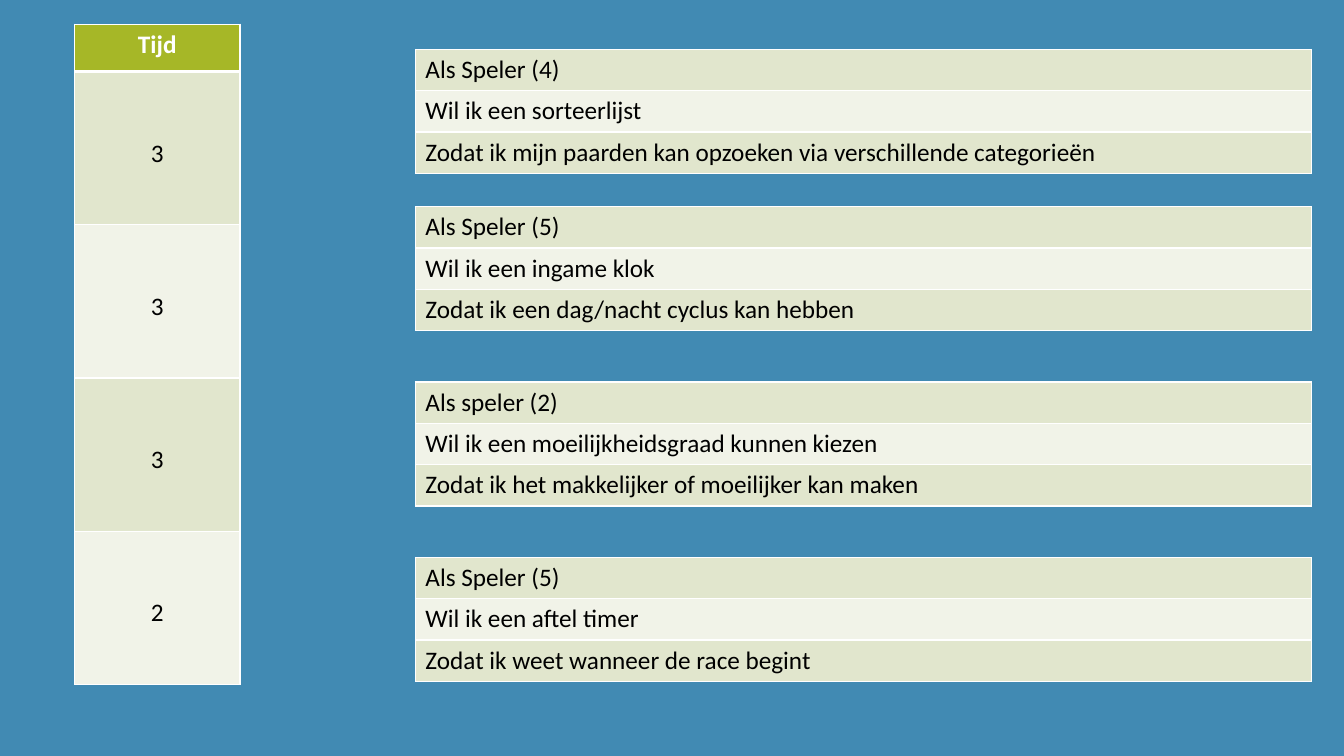
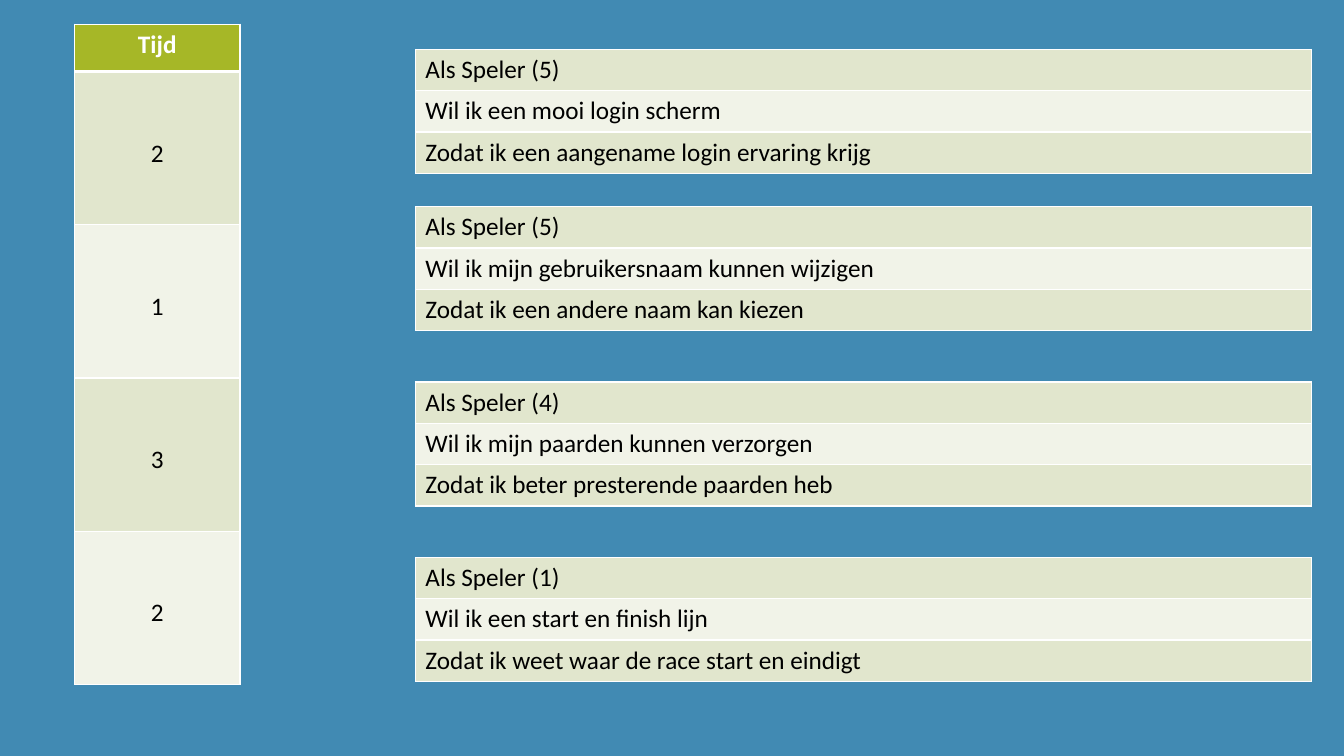
from dataclasses import dataclass

from lxml import etree
from pptx import Presentation
from pptx.dml.color import RGBColor
from pptx.enum import text
from pptx.oxml import ns
from pptx.util import Inches, Pt


@dataclass(frozen=True)
class Theme:
    back: str = "418AB3"
    head: str = "A6B727"
    bands: tuple = ("E1E6CD", "F1F3E8")
    dark: str = "000000"
    light: str = "FFFFFF"
    font: str = "Calibri"
    size: int = 18
    thin: int = 1
    thick: int = 3


class Deck:
    def __init__(self, theme):
        self.theme = theme
        self.show = Presentation()
        self.show.slide_width = Inches(13.33)
        self.show.slide_height = Inches(7.5)

    def page(self):
        self.slide = self.show.slides.add_slide(self.show.slide_layouts[6])
        fill = self.slide.background.fill
        fill.solid()
        fill.fore_color.rgb = RGBColor.from_string(self.theme.back)

    def grid(self, left, top, width, heights):
        frame = self.slide.shapes.add_table(
            len(heights), 1, Inches(left), Inches(top),
            Inches(width), Inches(sum(heights)))
        table = frame.table
        table.first_row = table.horz_banding = False
        for row, height in zip(table.rows, heights):
            row.height = Inches(height)
        return [row.cells[0] for row in table.rows]

    def edge(self, cell, side, width):
        props = cell._tc.get_or_add_tcPr()
        line = etree.SubElement(props, ns.qn(f"a:ln{side}"), w=str(Pt(width)))
        fill = etree.SubElement(line, ns.qn("a:solidFill"))
        etree.SubElement(fill, ns.qn("a:srgbClr"), val=self.theme.light)

    def cell(self, cell, words, fill, color=None, bold=False,
             center=False, top=None, bottom=None):
        theme = self.theme
        for side, width in zip("LRTB", (None, None, top, bottom)):
            self.edge(cell, side, width or theme.thin)
        cell.fill.solid()
        cell.fill.fore_color.rgb = RGBColor.from_string(fill)
        cell.text_frame.text = words
        para = cell.text_frame.paragraphs[0]
        if center:
            para.alignment = text.PP_ALIGN.CENTER
        font = para.runs[0].font
        font.name = theme.font
        font.size = Pt(theme.size)
        font.bold = bold
        font.color.rgb = RGBColor.from_string(color or theme.dark)

    def story(self, top, lines):
        cells = self.grid(4.12, top, 8.89, [0.41] * len(lines))
        for i, (cell, line) in enumerate(zip(cells, lines)):
            self.cell(cell, line, self.theme.bands[i % 2])

    def times(self, values):
        theme = self.theme
        head, *cells = self.grid(0.74, 0.24, 1.64, [0.47] + [1.52] * len(values))
        self.cell(head, "Tijd", theme.head, theme.light, bold=True,
                  center=True, bottom=theme.thick)
        for i, (cell, value) in enumerate(zip(cells, values)):
            self.cell(cell, str(value), theme.bands[i % 2], center=True,
                      top=None if i else theme.thick)
            cell.margin_top = Inches(0.66)


TOPS = (0.49, 2.05, 3.79, 5.53)

PAGES = (
    ((3, 3, 3, 2), (
        ("Als Speler (4)", "Wil ik een sorteerlijst",
         "Zodat ik mijn paarden kan opzoeken via verschillende categorieën"),
        ("Als Speler (5)", "Wil ik een ingame klok",
         "Zodat ik een dag/nacht cyclus kan hebben"),
        ("Als speler (2)", "Wil ik een moeilijkheidsgraad kunnen kiezen",
         "Zodat ik het makkelijker of moeilijker kan maken"),
        ("Als Speler (5)", "Wil ik een aftel timer",
         "Zodat ik weet wanneer de race begint"),
    )),
    ((2, 1, 3, 2), (
        ("Als Speler (5)", "Wil ik een mooi login scherm",
         "Zodat ik een aangename login ervaring krijg"),
        ("Als Speler (5)", "Wil ik mijn gebruikersnaam kunnen wijzigen",
         "Zodat ik een andere naam kan kiezen"),
        ("Als Speler (4)", "Wil ik mijn paarden kunnen verzorgen",
         "Zodat ik beter presterende paarden heb"),
        ("Als Speler (1)", "Wil ik een start en finish lijn",
         "Zodat ik weet waar de race start en eindigt"),
    )),
)

deck = Deck(Theme())
for hours, stories in PAGES:
    deck.page()
    for top, lines in zip(TOPS, stories):
        deck.story(top, lines)
    deck.times(hours)
deck.show.save("out.pptx")
